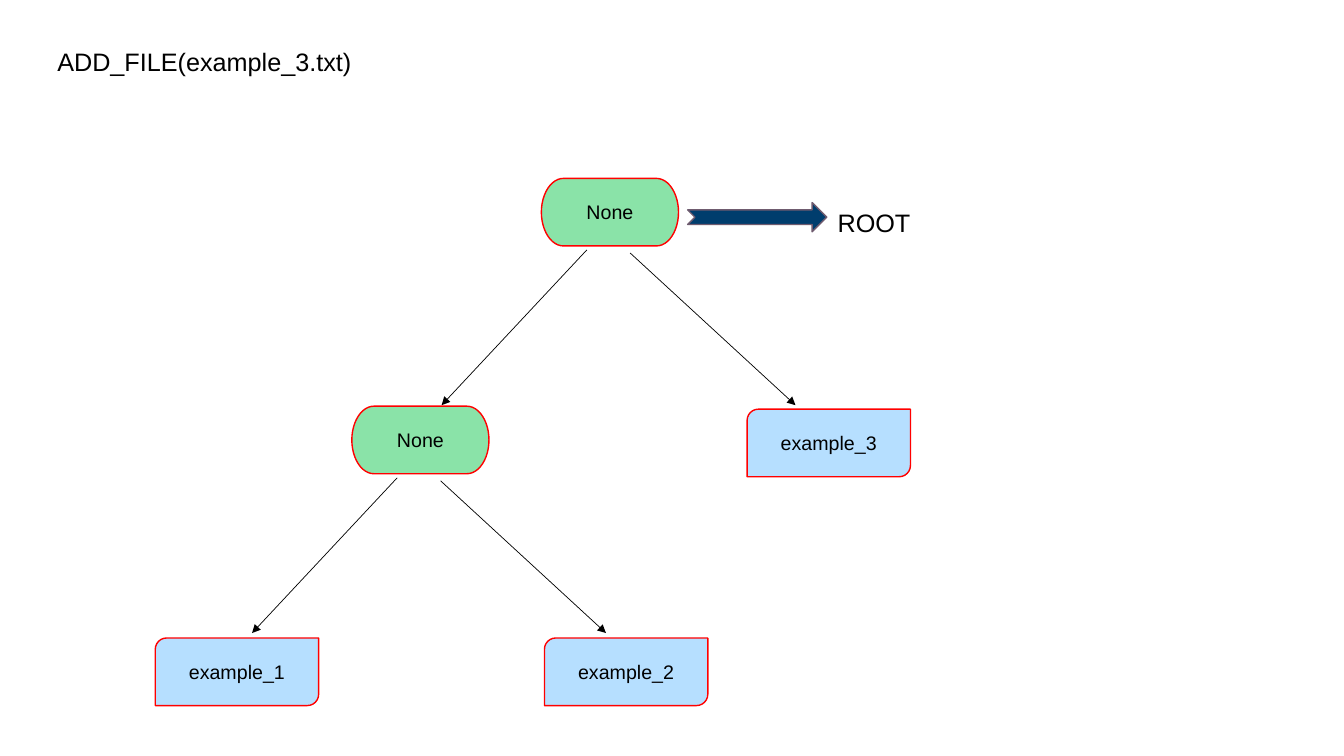
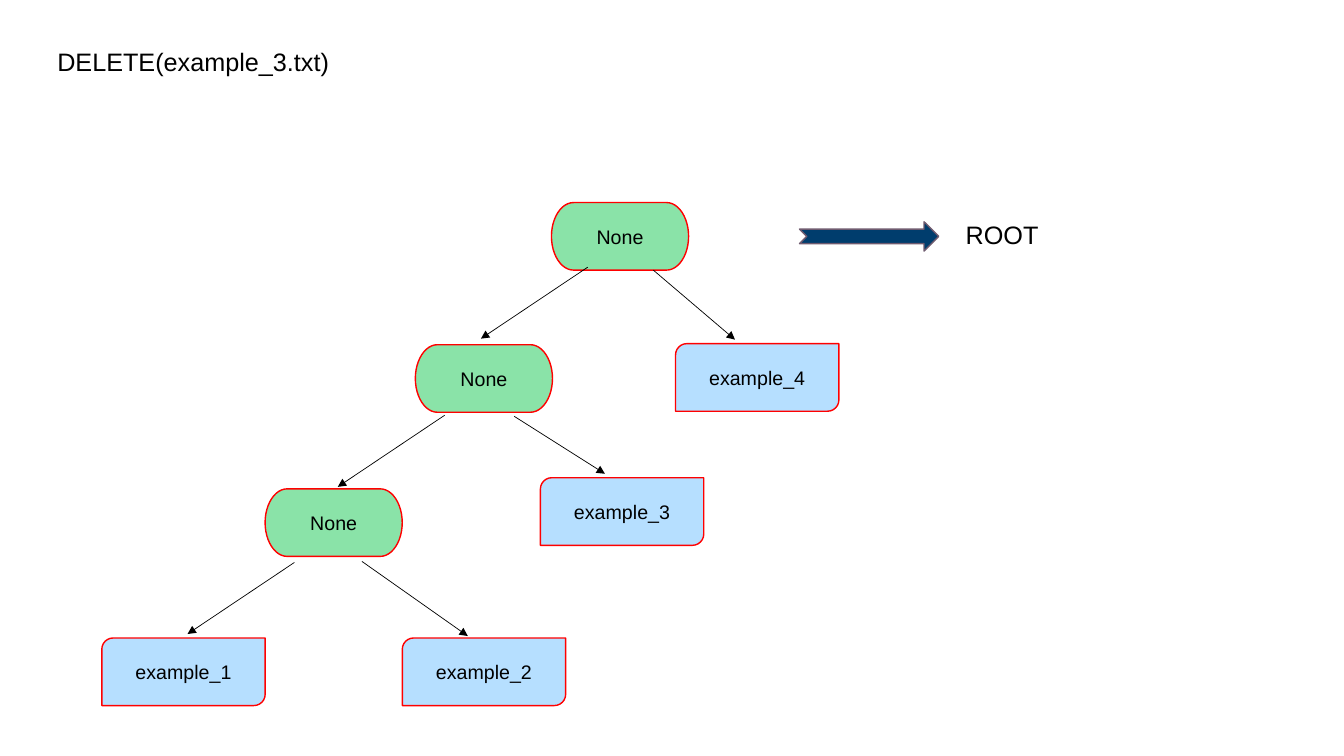
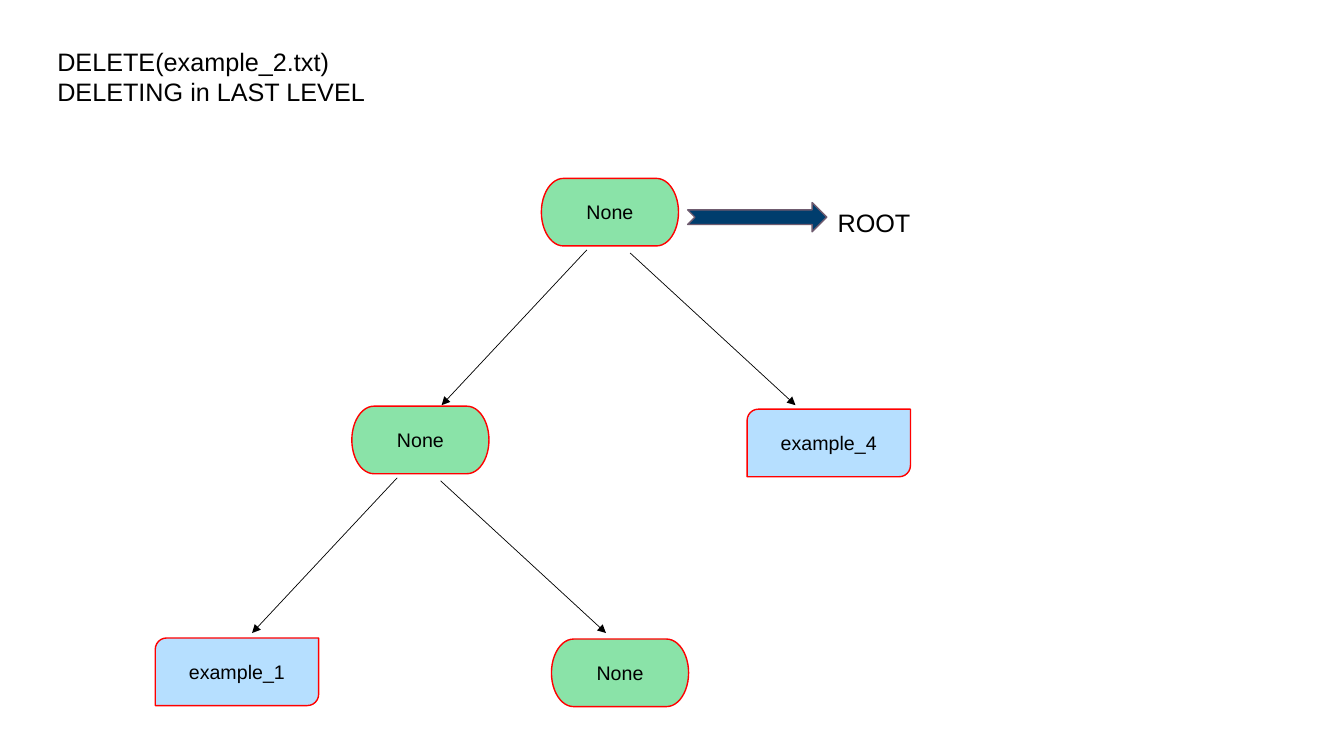
from dataclasses import dataclass

from lxml import etree
from pptx import Presentation
from pptx import util as u
from pptx.dml.color import RGBColor
from pptx.enum import shapes, text
from pptx.oxml import ns


@dataclass(frozen=True)
class Theme:
    """Colours, type and grid sizes that all slides share."""
    font: str = "Arial"
    ink: str = "000000"
    edge: str = "FF0000"
    inner: str = "8AE3A8"
    leaf: str = "B6DFFF"
    arrow: str = "003D6D"
    rim: str = "6F5B6F"
    head: int = 18
    body: int = 14
    thin: float = 0.5
    bold: float = 1
    cell: int = u.Inches(1)
    cols: float = 13.33
    rows: float = 7.5


@dataclass(frozen=True)
class Node:
    """A tree node: its text and the arms that lead to its children."""
    label: str
    arms: tuple = ()


@dataclass(frozen=True)
class Arm:
    """A child with its place and the arrow to it, as offsets from the parent."""
    start: tuple
    end: tuple
    place: tuple
    child: Node


T = Theme()
KIND = shapes.MSO_SHAPE
EMPTY = "None"


def span(*cells):
    """Turn grid columns and rows into slide lengths."""
    return [u.Emu(round(n * T.cell)) for n in cells]


def shift(spot, step):
    """Move a grid spot by an offset."""
    return spot[0] + step[0], spot[1] + step[1]


def write(frame, words, size=T.body, align=None, anchor=None, fit=None):
    """Put formatted text into a text frame."""
    frame.word_wrap = True
    frame.auto_size = fit
    frame.vertical_anchor = anchor
    para = frame.paragraphs[0]
    para.text = words
    para.alignment = align
    for run in para.runs:
        run.font.name = T.font
        run.font.size = u.Pt(size)
        run.font.color.rgb = RGBColor.from_string(T.ink)


def note(slide, words, box):
    """Place a large text box."""
    frame = slide.shapes.add_textbox(*span(*box)).text_frame
    write(frame, words, size=T.head, anchor=text.MSO_ANCHOR.TOP,
          fit=text.MSO_AUTO_SIZE.SHAPE_TO_FIT_TEXT)


def block(slide, kind, box, fill, line):
    """Place a filled and outlined preset shape."""
    shape = slide.shapes.add_shape(kind, *span(*box))
    shape.shadow.inherit = False
    shape.fill.solid()
    shape.fill.fore_color.rgb = RGBColor.from_string(fill)
    shape.line.color.rgb = RGBColor.from_string(line)
    shape.line.width = u.Pt(T.bold)
    return shape


def link(slide, start, end):
    """Draw a thin arrow between two spots."""
    line = slide.shapes.add_connector(
        shapes.MSO_CONNECTOR.STRAIGHT, *span(*start, *end))
    line.line.color.rgb = RGBColor.from_string(T.ink)
    line.line.width = u.Pt(T.thin)
    etree.SubElement(line.line._get_or_add_ln(), ns.qn("a:tailEnd"),
                     type="triangle")
    etree.SubElement(line._element.spPr, ns.qn("a:effectLst"))


def tree(slide, spot, node):
    """Draw a node at a spot, then its arrows and children."""
    if node.label == EMPTY:
        kind, wide, fill = KIND.FLOWCHART_TERMINATOR, 1.36, T.inner
    else:
        kind, wide, fill = KIND.ROUND_2_DIAG_RECTANGLE, 1.62, T.leaf
    shape = block(slide, kind, (*spot, wide, 0.67), fill, T.edge)
    write(shape.text_frame, node.label, align=text.PP_ALIGN.CENTER,
          anchor=text.MSO_ANCHOR.MIDDLE)
    for arm in node.arms:
        link(slide, shift(spot, arm.start), shift(spot, arm.end))
        tree(slide, shift(spot, arm.place), arm.child)


def root(slide, spot, arrow, label):
    """Point out the root with a block arrow and its name."""
    block(slide, KIND.NOTCHED_RIGHT_ARROW, (*shift(spot, arrow), 1.38, 0.29),
          T.arrow, T.rim)
    note(slide, "ROOT", (*shift(spot, label), 1.4, 0.4))


def page(deck, title, spot, top, arrow=(1.45, 0.24), label=(2.84, 0.24)):
    """Build a slide with a title, a tree and its root marker."""
    slide = deck.slides.add_slide(deck.slide_layouts[6])
    tall = 0.4 if len(title.splitlines()) == 1 else 1.01
    note(slide, title, (0.47, 0.41, 6.15, tall))
    tree(slide, spot, top)
    root(slide, spot, arrow, label)


def fork(left, right, near, far):
    """Make an empty node with two wide arms."""
    return Node(EMPTY, (Arm((0.45, 0.71), (-0.99, 2.25), near, left),
                        Arm((0.88, 0.74), (2.52, 2.25), far, right)))


def short(left, right, base, near, start, end, far):
    """Make an empty node with two short arms."""
    tip = shift(base, (-1.06, 0.71))
    return Node(EMPTY, (Arm(base, tip, near, left),
                        Arm(start, end, far, right)))


def pair(last, place, side):
    """Make the three-level tree with a last node and a side leaf."""
    low = fork(Node("example_1"), last, (-1.95, 2.3), place)
    return fork(low, Node(side), (-1.88, 2.26), (2.04, 2.29))


def chain():
    """Make the four-level tree."""
    low = short(Node("example_1"), Node("example_2"), (0.29, 0.73),
                (-1.62, 1.48), (0.96, 0.72), (2.01, 1.46), (1.36, 1.48))
    mid = short(low, Node("example_3"), (0.29, 0.7),
                (-1.49, 1.43), (0.98, 0.71), (1.88, 1.28), (1.24, 1.32))
    return short(mid, Node("example_4"), (0.36, 0.64),
                 (-1.35, 1.41), (1.01, 0.67), (1.82, 1.36), (1.23, 1.4))


def main():
    """Build and save the deck."""
    deck = Presentation()
    deck.slide_width, deck.slide_height = span(T.cols, T.rows)
    spot = (5.37, 1.77)
    page(deck, "ADD_FILE(example_3.txt)", spot,
         pair(Node("example_2"), (1.91, 2.3), "example_3"))
    page(deck, "DELETE(example_3.txt)", (5.47, 2.01), chain(),
         arrow=(2.46, 0.19), label=(4.01, 0.12))
    page(deck, "DELETE(example_2.txt)\nDELETING in LAST LEVEL", spot,
         pair(Node(EMPTY), (1.98, 2.31), "example_4"))
    deck.save("out.pptx")


if __name__ == "__main__":
    main()
